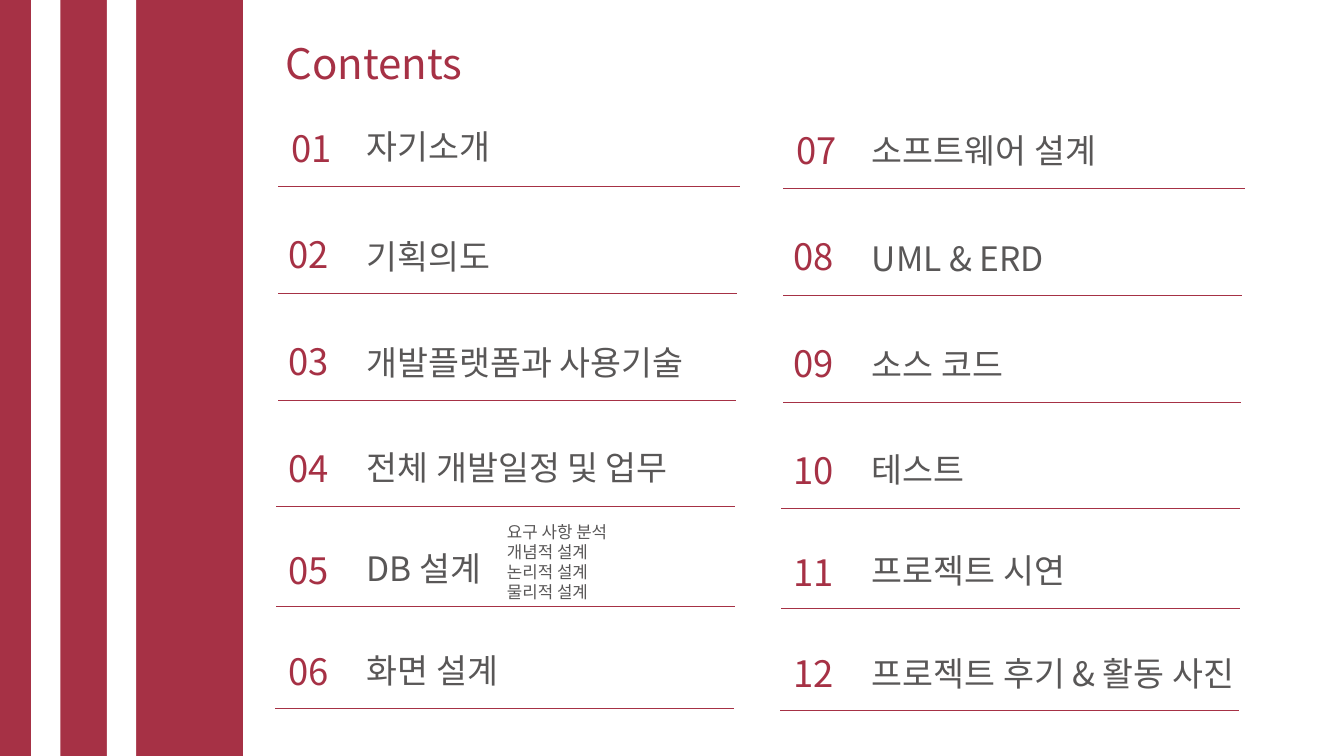
from lxml import etree
from pptx import Presentation
from pptx.dml.color import RGBColor
from pptx.enum.shapes import MSO_CONNECTOR, MSO_SHAPE
from pptx.enum.text import MSO_ANCHOR, MSO_AUTO_SIZE, PP_ALIGN
from pptx.oxml.ns import qn
from pptx.util import Emu, Pt

CRIMSON = RGBColor(0xA6, 0x31, 0x45)
GRAY = RGBColor(0x59, 0x57, 0x57)
WHITE = RGBColor(0xFF, 0xFF, 0xFF)
FONT = "Noto Sans CJK KR"
EMU_PER_PX = 9144
SLIDE_WIDTH, SLIDE_HEIGHT = 1333, 750
COLUMN_SHIFT, COLUMN_DROP = 501, 2
NUMBER_LEFT, HEADING_LEFT = 276, 354

# number top, rule top, rule left, rule right
ROWS = [
    (120, 185, 276, 734),
    (225, 291, 276, 731),
    (331, 397, 276, 730),
    (437, 502, 274, 729),
    (538, 602, 274, 729),
    (639, 703, 273, 728),
]
# heading, top, width
COLUMNS = [
    [
        ("자기소개", 120, 296),
        ("기획의도", 229, 296),
        ("개발플랫폼과 사용기술", 334, 403),
        ("전체 개발일정 및 업무", 438, 375),
        ("DB 설계", 539, 320),
        ("화면 설계", 640, 320),
    ],
    [
        ("소프트웨어 설계", 124, 345),
        ("UML & ERD", 231, 296),
        ("소스 코드", 336, 403),
        ("테스트", 440, 375),
        ("프로젝트 시연", 541, 320),
        ("프로젝트 후기 & 활동 사진", 643, 417),
    ],
]
DB_STEPS = "요구 사항 분석\n개념적 설계\n논리적 설계\n물리적 설계"


def px(length):
    """Turn pixels into EMU."""
    return Emu(round(length * EMU_PER_PX))


def write_text(frame, text, *, size, color, anchor=MSO_ANCHOR.MIDDLE):
    """Fill a text frame with left-aligned lines in one format."""
    frame.text = text
    frame.word_wrap = True
    frame.auto_size = MSO_AUTO_SIZE.SHAPE_TO_FIT_TEXT
    frame.vertical_anchor = anchor
    for paragraph in frame.paragraphs:
        paragraph.alignment = PP_ALIGN.LEFT
        for run in paragraph.runs:
            run.font.size = Pt(size)
            run.font.name = FONT
            run.font.color.rgb = color
            east_asian = etree.SubElement(run.font._element, qn("a:ea"))
            east_asian.set("typeface", FONT)


def add_label(slide, box, text, **text_format):
    """Add a text box at left, top, width, height."""
    label = slide.shapes.add_textbox(*map(px, box))
    write_text(label.text_frame, text, **text_format)


def add_band(slide, left, width, color):
    """Add a full-height vertical band."""
    band = slide.shapes.add_shape(
        MSO_SHAPE.RECTANGLE, px(left), 0, px(width), px(SLIDE_HEIGHT))
    band.shadow.inherit = False
    band.fill.solid()
    band.fill.fore_color.rgb = color
    band.line.fill.background()


def add_rule(slide, left, right, top):
    """Add a thin horizontal rule."""
    rule = slide.shapes.add_connector(
        MSO_CONNECTOR.STRAIGHT, px(left), px(top), px(right), px(top))
    rule.line.color.rgb = CRIMSON
    rule.line.width = Pt(0.5)
    etree.SubElement(rule._element.spPr, qn("a:effectLst"))


def add_column(slide, column, entries):
    """Add one column of numbered headings with rules below."""
    shift, drop = column * COLUMN_SHIFT, column * COLUMN_DROP
    first_number = column * len(ROWS) + 1
    for number, (row, entry) in enumerate(zip(ROWS, entries), first_number):
        number_top, rule_top, rule_left, rule_right = row
        heading, heading_top, heading_width = entry
        add_rule(slide, rule_left + shift, rule_right + shift, rule_top + drop)
        add_label(slide, (HEADING_LEFT + shift, heading_top, heading_width, 50),
                  heading, size=24, color=GRAY)
        indent = 3 if number == first_number else 0
        add_label(slide, (NUMBER_LEFT + indent + shift, number_top + drop, 104, 54),
                  f"{number:02}", size=26, color=CRIMSON)


def main():
    """Build and save the contents slide."""
    deck = Presentation()
    deck.slide_width, deck.slide_height = px(SLIDE_WIDTH), px(SLIDE_HEIGHT)
    slide = deck.slides.add_slide(deck.slide_layouts[5])

    title = slide.shapes.title
    title.left, title.top, title.width, title.height = map(px, (273, 32, 236, 60))
    write_text(title.text_frame, "Contents", size=30, color=CRIMSON,
               anchor=MSO_ANCHOR.TOP)

    add_band(slide, 0, 241, CRIMSON)
    for stripe_left in (31, 106):
        add_band(slide, stripe_left, 29, WHITE)
    for column, entries in enumerate(COLUMNS):
        add_column(slide, column, entries)
    add_label(slide, (493, 512, 138, 91), DB_STEPS, size=12, color=GRAY)

    deck.save("out.pptx")


if __name__ == "__main__":
    main()
